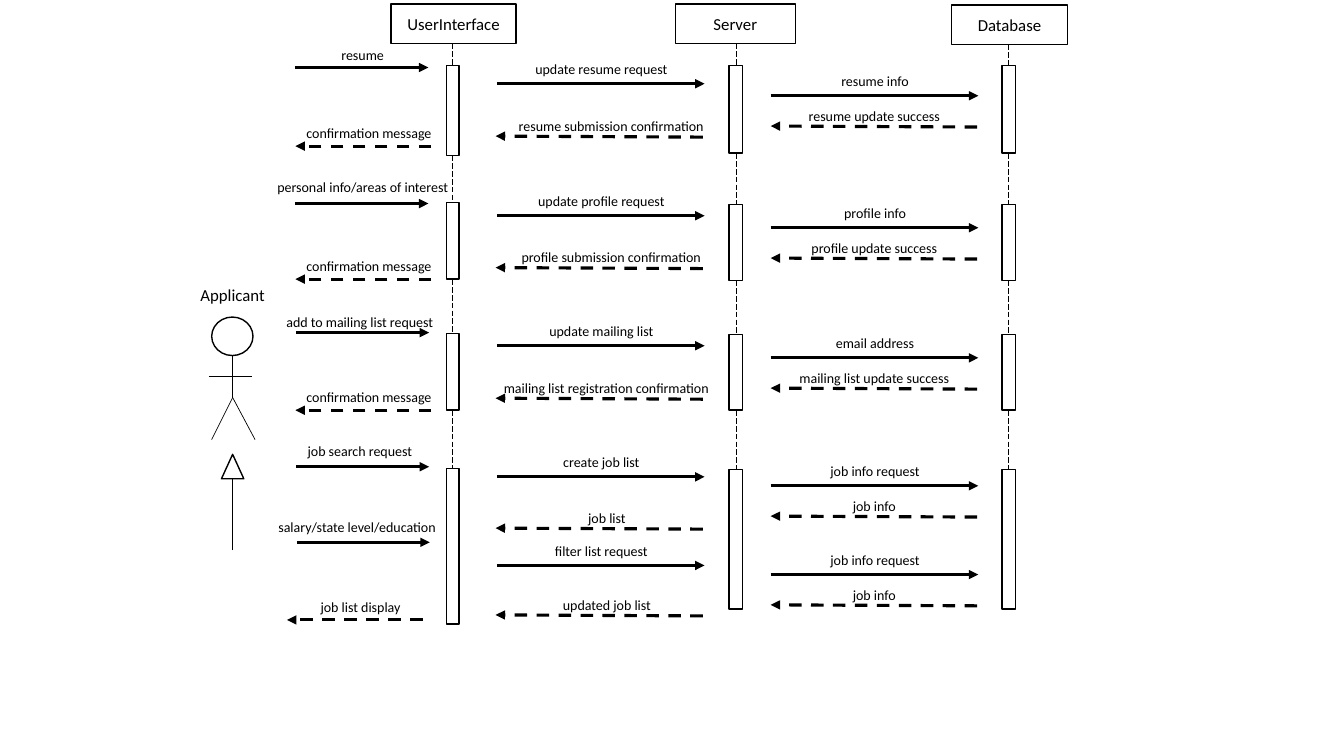
"""Sequence diagram of an applicant working with a job site."""
from collections import namedtuple
from dataclasses import dataclass

from lxml import etree
from pptx import Presentation
from pptx import util as u
from pptx.dml.color import RGBColor
from pptx.enum import dml, shapes, text
from pptx.oxml import ns

Box = namedtuple("Box", "left top width height")
Message = namedtuple("Message", "label y centre rise shift", defaults=[0])


@dataclass(frozen=True)
class Theme:
    """Colours, font, type sizes and line widths."""
    ink: RGBColor = RGBColor(0, 0, 0)
    paper: RGBColor = RGBColor(255, 255, 255)
    font: str = "Calibri"
    name_size: int = 12
    label_size: int = 10
    thin: float = 0.5
    outline: float = 1
    arrow: float = 2.25


THEME = Theme()


def add_words(frame, words, size):
    """Put one centred run into a text frame."""
    paragraph = frame.paragraphs[0]
    paragraph.alignment = text.PP_ALIGN.CENTER
    run = paragraph.add_run()
    run.text = words
    run.font.name = THEME.font
    run.font.size = u.Pt(size)
    run.font.color.rgb = THEME.ink


def add_label(slide, words, box, size):
    """Add a one-line text box."""
    label = slide.shapes.add_textbox(*map(u.Pt, box))
    label.text_frame.word_wrap = False
    add_words(label.text_frame, words, size)


def add_outline(slide, kind, box):
    """Add a white preset shape with a black outline."""
    shape = slide.shapes.add_shape(kind, *map(u.Pt, box))
    shape.shadow.inherit = False
    shape.fill.solid()
    shape.fill.fore_color.rgb = THEME.paper
    shape.line.color.rgb = THEME.ink
    shape.line.width = u.Pt(THEME.outline)
    return shape


def add_line(slide, start, end, width=THEME.thin, dash=None, arrow=False):
    """Add a straight line, dashed or ending in an arrowhead on request."""
    line = slide.shapes.add_connector(
        shapes.MSO_CONNECTOR.STRAIGHT, *map(u.Pt, (*start, *end)))
    line.line.color.rgb = THEME.ink
    line.line.width = u.Pt(width)
    if dash:
        line.line.dash_style = dash
    properties = line._element.spPr
    if arrow:
        etree.SubElement(properties.find(ns.qn("a:ln")), ns.qn("a:tailEnd"), type="triangle")
    etree.SubElement(properties, ns.qn("a:effectLst"))


def add_actor(slide, box, name):
    """Draw the named stick figure with the upward arrow beneath it."""
    left, top, width, height = box
    axis = left + width / 2
    neck, arms, hips, feet = (top + drop for drop in (54, 68.5, 84, 114))
    add_label(slide, name, Box(left, top, width, 21.6), THEME.name_size)
    add_outline(slide, shapes.MSO_SHAPE.OVAL, Box(axis - 15, top + 26.5, 29.5, 27.5))
    add_line(slide, (axis, neck), (axis, hips))
    add_line(slide, (axis - 17, arms), (axis + 14, arms))
    for foot in (axis - 15, axis + 16):
        add_line(slide, (foot, feet), (axis, hips))
    add_line(slide, (axis, top + height), (axis, top + 142))
    add_outline(slide, shapes.MSO_SHAPE.ISOSCELES_TRIANGLE, Box(axis - 8, top + 124.5, 16, 17.5))


def add_lifeline(slide, box, name, axis, bar_width, bars):
    """Draw a named head with activation bars below it, joined by dashed lines."""
    head = add_outline(slide, shapes.MSO_SHAPE.RECTANGLE, box)
    head.text_frame.vertical_anchor = text.MSO_ANCHOR.MIDDLE
    head.text_frame.word_wrap = False
    add_words(head.text_frame, name, THEME.name_size)
    center, previous = box.left + axis, box.top + box.height
    for top, height in bars:
        add_line(slide, (center, previous), (center, top), dash=dml.MSO_LINE.LONG_DASH)
        add_outline(slide, shapes.MSO_SHAPE.RECTANGLE,
                    Box(center - bar_width / 2, top, bar_width, height))
        previous = top + height


def add_channel(slide, box, requests, replies, reply_span, tilt):
    """Draw solid requests to the right and dashed replies to the left."""
    spans = [(message, (0, box.width), 0, None) for message in requests]
    spans += [(message, reply_span, tilt, dml.MSO_LINE.DASH) for message in replies]
    for message, (start, end), fall, dash in spans:
        left, y = box.left + message.shift, box.top + message.y
        add_line(slide, (left + start, y + fall / 2), (left + end, y - fall / 2),
                 THEME.arrow, dash, arrow=True)
        width = max(112, 30 + 4.3 * len(message.label))
        add_label(slide, message.label,
                  Box(left + message.centre - width / 2, y - message.rise, width, 19.4),
                  THEME.label_size)


SCREEN_BARS = [(46.8, 64.1), (144.7, 54.7), (238.3, 54.7), (334.8, 110.9)]
SERVICE_BARS = [(46.8, 62.6), (146.2, 54), (239, 54), (335.5, 99.4)]
LIFELINES = [
    (Box(279.4, 2.9, 89.3, 28.1), "UserInterface", 44, 8.8, SCREEN_BARS),
    (Box(482.4, 2.9, 85.7, 28.1), "Server", 43.3, 9.8, SERVICE_BARS),
    (Box(679.7, 3.6, 82.8, 28.1), "Database", 40.9, 9.8, SERVICE_BARS),
]

APPLICANT_REQUESTS = [
    Message("resume", 1.4, 48, 18.7),
    Message("personal info/areas of interest", 98.6, 48, 21.6),
    Message("add to mailing list request", 190.8, 45.5, 17.3, 0.5),
    Message("job search request", 286.6, 45.5, 20.9, 0.5),
    Message("salary/state level/education", 340.6, 43, 20.9, 1),
]
APPLICANT_REPLIES = [Message("confirmation message", y, 52.5, 18.7) for y in (57.6, 152.6, 246.2)]
APPLICANT_REPLIES.append(Message("job list display", 396, 52.5, 18.7, -6))

SERVER_REQUESTS = [Message(label, y, 74.5, 20.2) for label, y in (
    ("update resume request", 13), ("update profile request", 107.3),
    ("update mailing list", 200.2), ("create job list", 293.8),
    ("filter list request", 357.1))]
SERVER_REPLIES = [Message(label, y, centre, 17.3) for label, y, centre in (
    ("resume submission confirmation", 50.8, 81.5),
    ("profile submission confirmation", 144.7, 81.5),
    ("mailing list registration confirmation", 238, 78),
    ("job list", 330.8, 78.5), ("updated job list", 392.8, 78.5))]

DATABASE_CALLS = [
    ("resume info", "resume update success", 21.6),
    ("profile info", "profile update success", 115.9),
    ("email address", "mailing list update success", 208.8),
    ("job info request", "job info", 300.2),
    ("job info request", "job info", 363.6),
]
DATABASE_REQUESTS = [Message(request, y, 74.5, 20) for request, _, y in DATABASE_CALLS]
DATABASE_REPLIES = [Message(reply, y + 22, 74, 17) for _, reply, y in DATABASE_CALLS]

CHANNELS = [
    (Box(211, 46.8, 95, 400), APPLICANT_REQUESTS, APPLICANT_REPLIES, (97, 0), 0),
    (Box(355, 46.8, 148.3, 400), SERVER_REQUESTS, SERVER_REPLIES, (147, -1), 0.7),
    (Box(550.5, 46.8, 148.3, 400), DATABASE_REQUESTS, DATABASE_REPLIES, (147.5, 0), 0.7),
]


def build_slide(presentation):
    """Add the sequence diagram slide."""
    slide = presentation.slides.add_slide(presentation.slide_layouts[6])
    add_actor(slide, Box(123, 200, 86.4, 193), "Applicant")
    for lifeline in LIFELINES:
        add_lifeline(slide, *lifeline)
    for channel in CHANNELS:
        add_channel(slide, *channel)


presentation = Presentation()
presentation.slide_width, presentation.slide_height = u.Pt(960), u.Pt(540)
build_slide(presentation)
presentation.save("out.pptx")
